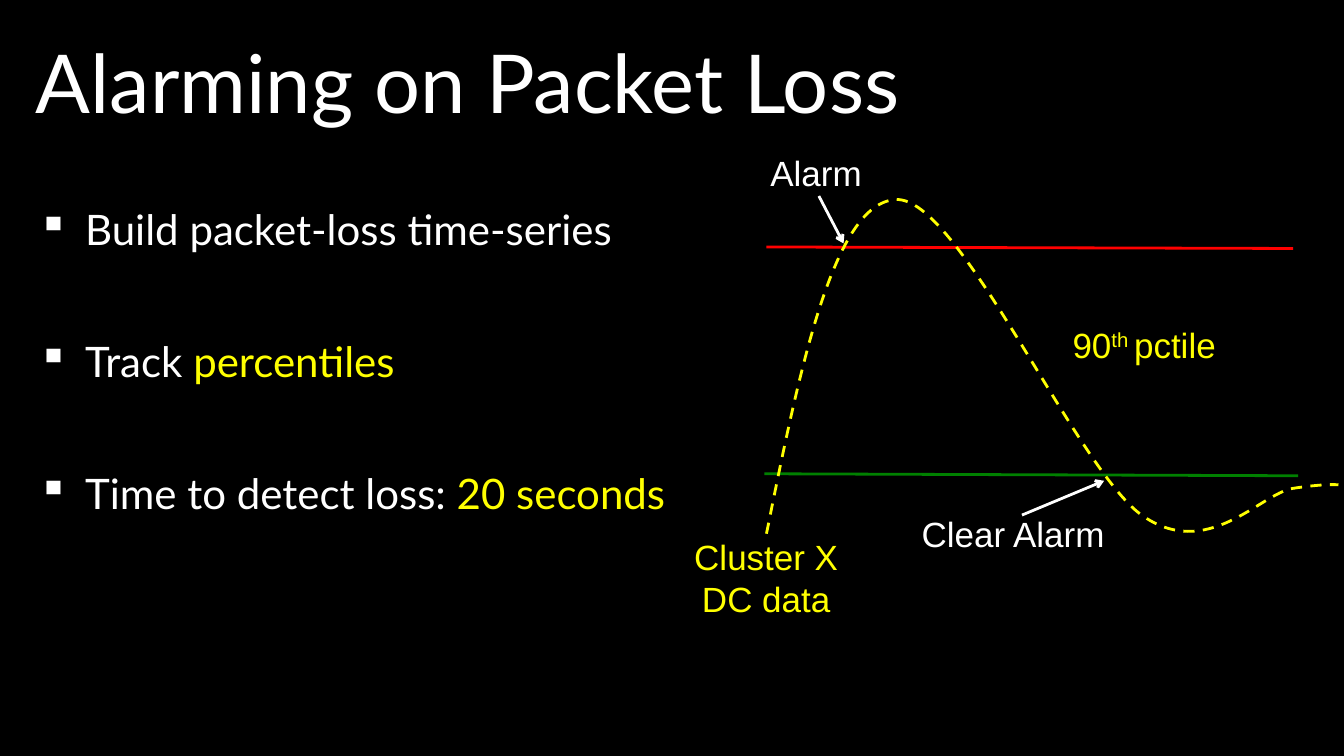
from dataclasses import dataclass

from lxml.etree import SubElement
from pptx import Presentation
from pptx.dml.color import RGBColor
from pptx.enum.dml import MSO_LINE as Dash
from pptx.enum.shapes import MSO_CONNECTOR as Link
from pptx.enum.text import MSO_ANCHOR as Anchor, MSO_AUTO_SIZE as Fit, PP_ALIGN as Align
from pptx.oxml.ns import qn
from pptx.util import Inches, Pt

COLORS = {"black": "000000", "white": "FFFFFF", "yellow": "FFFF00",
          "red": "FF0000", "green": "008000"}
UNIT = Inches(0.01)  # curve points are in hundredths of an inch


@dataclass
class Span:
    text: str
    color: str = "white"
    raised: bool = False


@dataclass
class Label:
    left: float
    top: float
    height: float
    spans: list[Span]


@dataclass
class Line:
    start: tuple[float, float]
    end: tuple[float, float]
    color: str
    arrow: bool = False


BULLETS = [
    [Span("Build packet-loss time-series")],
    [Span("Track "), Span("percentiles", "yellow")],
    [Span("Time to detect loss: "), Span("20 seconds", "yellow")],
]
LABELS = [
    Label(14.1, 2.95, 0.95, [Span("Alarm")]),
    Label(18.01, 10.11, 0.95, [Span("Clear Alarm")]),
    Label(20.61, 6.36, 0.95, [Span("90", "yellow"), Span("th ", "yellow", True),
                              Span("pctile", "yellow")]),
    Label(13.11, 10.55, 1.8, [Span("Cluster X\nDC data", "yellow")]),
]
LIMITS = [
    Line((15.21, 4.9), (25.66, 4.93), "red"),
    Line((15.17, 9.4), (25.76, 9.44), "green"),
]
ARROWS = [
    Line((16.25, 3.89), (16.74, 4.83), "white", True),
    Line((20.28, 10.22), (21.91, 9.54), "white", True),
]
START = (1521, 1059)
CURVES = [  # two control points, then the end point
    ((1587, 731), (1654, 402), (1778, 396)),
    ((1902, 389), (2133, 925), (2264, 1021)),
    ((2395, 1116), (2501, 979), (2566, 969)),
    ((2631, 959), (2656, 962), (2656, 962)),
]


def rgb(name: str) -> RGBColor:
    return RGBColor.from_string(COLORS[name])


def add_box(slide, left: float, top: float, width: float, height: float,
            inset: float = 0, anchor=Anchor.TOP):
    box = slide.shapes.add_textbox(*map(Inches, (left, top, width, height)))
    frame = box.text_frame
    frame.word_wrap = True
    frame.vertical_anchor = anchor
    frame.margin_left = frame.margin_right = Inches(inset)
    frame.margin_top = frame.margin_bottom = Inches(inset)
    return frame


def fill_para(para, spans: list[Span], font: str, size: float) -> None:
    para.font.name, para.font.size = font, Pt(size)
    for span in spans:
        for i, part in enumerate(span.text.split("\n")):
            if i:
                para.add_line_break()
            run = para.add_run()
            run.text = part
            run.font.color.rgb = rgb(span.color)
            if span.raised:
                run.font._element.set("baseline", "30000")


def add_bullets(slide) -> None:
    frame = add_box(slide, 0.71, 3.94, 16.86, 10.82)
    for i, spans in enumerate(BULLETS):
        para = frame.add_paragraph() if i else frame.paragraphs[0]
        para.line_spacing = 1.1
        para.space_before = Pt(109 if i else 0)
        props = para._p.get_or_add_pPr()
        props.set("marL", str(Inches(0.98)))
        props.set("indent", str(Inches(-0.94)))
        SubElement(props, qn("a:buChar")).set("char", "▪")
        fill_para(para, spans, "Lato", 60)


def add_label(slide, label: Label) -> None:
    frame = add_box(slide, label.left, label.top, 4.19, label.height, 0.06, Anchor.MIDDLE)
    frame.auto_size = Fit.SHAPE_TO_FIT_TEXT
    para = frame.paragraphs[0]
    para.alignment = Align.CENTER
    fill_para(para, label.spans, "Arial", 50)


def add_line(slide, line: Line) -> None:
    ends = map(Inches, (*line.start, *line.end))
    link = slide.shapes.add_connector(Link.STRAIGHT, *ends)
    link.line.color.rgb = rgb(line.color)
    link.line.width = Pt(4)
    if line.arrow:
        SubElement(link.line._get_or_add_ln(), qn("a:tailEnd")).set("type", "arrow")
    SubElement(link._element.spPr, qn("a:effectLst"))


def add_curve(slide) -> None:
    """Join the end points, then bend each side with its control points."""
    pen = slide.shapes.build_freeform(*START, scale=UNIT)
    pen.add_line_segments([curve[-1] for curve in CURVES], close=False)
    shape = pen.convert_to_shape()
    shape.shadow.inherit = False
    shape.fill.background()
    shape.line.color.rgb = rgb("yellow")
    shape.line.width = Pt(4)
    shape.line.dash_style = Dash.DASH
    left, top = shape.left // UNIT, shape.top // UNIT
    sides = list(shape._element.iter(qn("a:lnTo")))
    for side, curve in zip(sides, CURVES):
        side.tag = qn("a:cubicBezTo")
        for i, (x, y) in enumerate(curve[:2]):
            point = SubElement(side, qn("a:pt"))
            point.set("x", str(x - left))
            point.set("y", str(y - top))
            side.insert(i, point)


def main() -> None:
    deck = Presentation()
    deck.slide_width, deck.slide_height = Inches(26.67), Inches(15)
    slide = deck.slides.add_slide(deck.slide_layouts[6])
    slide.background.fill.solid()
    slide.background.fill.fore_color.rgb = rgb("black")

    title = add_box(slide, 0.71, -0.28, 22.86, 3.76, anchor=Anchor.MIDDLE)
    fill_para(title.paragraphs[0], [Span("Alarming on Packet Loss")], "Lato", 116)
    add_bullets(slide)
    for line in LIMITS:
        add_line(slide, line)
    add_curve(slide)
    for line in ARROWS:
        add_line(slide, line)
    for label in LABELS:
        add_label(slide, label)
    deck.save("out.pptx")


if __name__ == "__main__":
    main()
